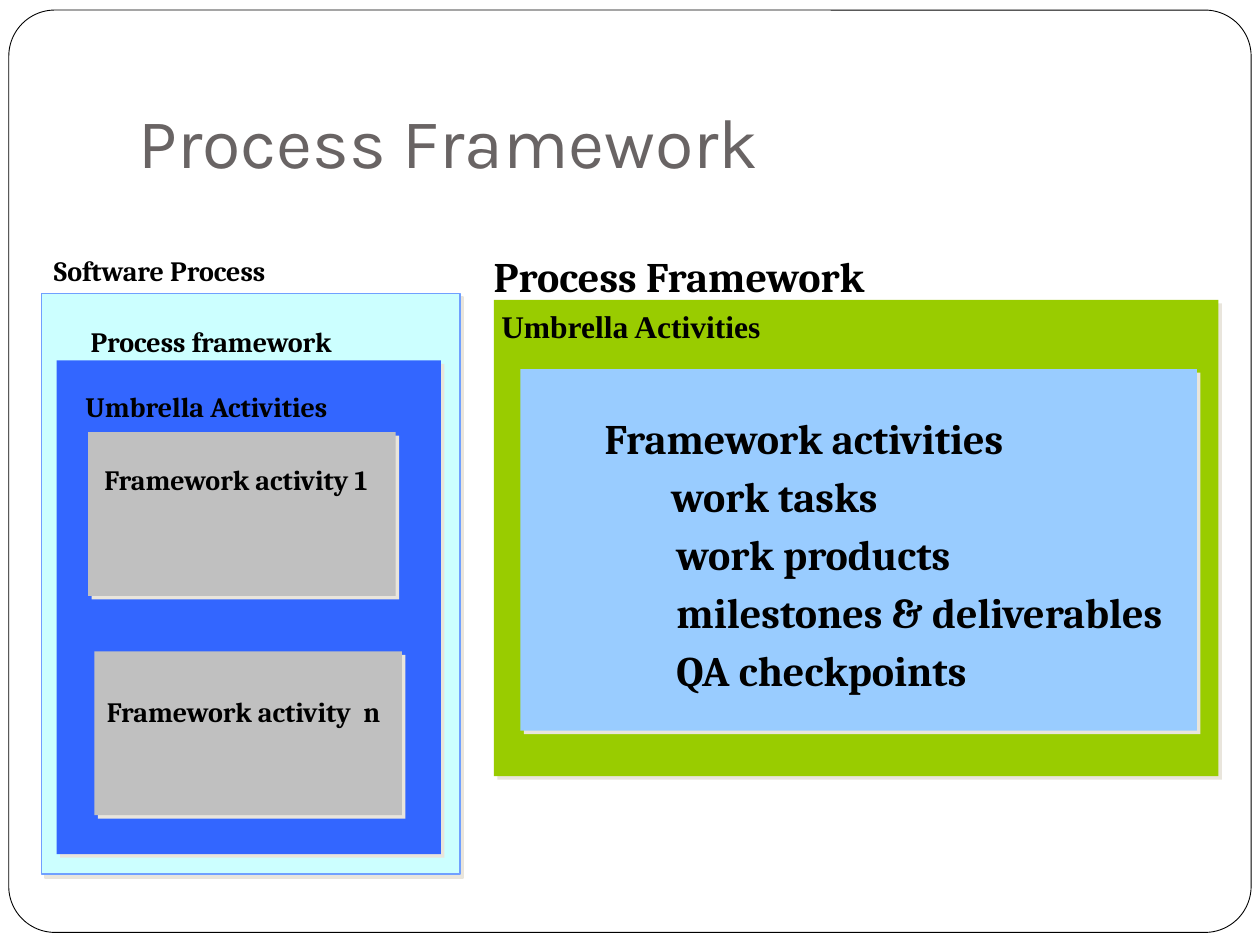
from lxml.etree import SubElement
from pptx import Presentation
from pptx.dml.color import RGBColor
from pptx.enum.shapes import MSO_SHAPE as Shape
from pptx.enum.text import MSO_ANCHOR as Anchor, PP_ALIGN as Align
from pptx.oxml.ns import qn
from pptx.util import Inches, Pt

TITLE = "Process Framework"
PANELS = [
    ((0.33, 2.33, 3.32, 4.61), "CCFFFF", "70A0FF"),
    ((0.45, 2.86, 3.05, 3.92), "3366FF", None),
    ((0.70, 3.43, 2.44, 1.30), "C0C0C0", None),
    ((0.75, 5.17, 2.44, 1.30), "C0C0C0", None),
    ((3.92, 2.38, 5.75, 3.78), "99CC00", None),
]
LABELS = [
    ("Software Process", 0.33, 1.92),
    ("Process framework", 0.62, 2.49),
    ("Umbrella Activities", 0.58, 3.00),
    ("Framework activity 1", 0.73, 3.58),
    ("Framework activity  n", 0.75, 5.42),
]
HEADINGS = [
    ("Process Framework", 0.07, 24, "Cambria"),
    ("Umbrella Activities", 0.13, 18, "Times New Roman"),
]
ACTIVITIES = [
    ("Framework activities", 0.57),
    ("work tasks", 1.10),
    ("work products", 1.14),
    ("milestones & deliverables", 1.14),
    ("QA checkpoints", 1.14),
]


def color(value):
    return RGBColor.from_string(value)


def add_panel(slide, box, fill, line=None, shadow=True, kind=Shape.RECTANGLE):
    panel = slide.shapes.add_shape(kind, *map(Inches, box))
    panel.shadow.inherit = False
    panel.fill.solid()
    panel.fill.fore_color.rgb = color(fill)
    if line:
        panel.line.color.rgb = color(line)
        panel.line.width = Pt(1)
    else:
        panel.line.fill.background()
    if shadow:
        effects = panel._element.spPr.find(qn("a:effectLst"))
        outer = SubElement(effects, qn("a:outerShdw"), dist=str(Pt(2.8)),
                           dir="2700000", algn="ctr", rotWithShape="0")
        SubElement(outer, qn("a:srgbClr"), val="E9E5DC")
    return panel


def write(frame, lines):
    frame.word_wrap = True
    for i, (text, indent, size, font) in enumerate(lines):
        para = frame.add_paragraph() if i else frame.paragraphs[0]
        para.text = text
        para.alignment = Align.LEFT
        para.line_spacing = 1.15
        para.font.name, para.font.size, para.font.bold = font, Pt(size), True
        para.font.color.rgb = color("000000")
        para._p.get_or_add_pPr().set("marL", str(Inches(indent)))


def add_text(slide, box, lines):
    write(slide.shapes.add_textbox(*map(Inches, box)).text_frame, lines)


def main():
    """Build the process framework slide."""
    prs = Presentation()
    prs.slide_width, prs.slide_height = Inches(10), Inches(7.5)
    slide = prs.slides.add_slide(prs.slide_layouts[5])

    border = add_panel(slide, (0.07, 0.08, 9.86, 7.32), "FFFFFF", "000000",
                       shadow=False, kind=Shape.ROUNDED_RECTANGLE)
    border.adjustments[0] = 0.05
    border.line.width = Pt(0.5)
    slide.shapes._spTree.insert(2, border._element)

    title = slide.shapes.title
    title.left, title.top, title.width, title.height = map(
        Inches, (1, 0.3, 8.5, 1.25))
    frame = title.text_frame
    frame.text = TITLE
    frame.vertical_anchor = Anchor.BOTTOM
    frame.margin_bottom = Inches(0.1)
    heading = frame.paragraphs[0]
    heading.alignment = Align.LEFT
    heading.font.name, heading.font.size = "Karla", Pt(40)
    heading.font.color.rgb = color("696464")

    for box, fill, line in PANELS:
        add_panel(slide, box, fill, line)
    for text, left, top in LABELS:
        add_text(slide, (left, top, 2.65, 0.4), [(text, 0, 16, "Cambria")])
    add_text(slide, (3.75, 1.88, 5.92, 0.9), HEADINGS)

    activities = add_panel(slide, (4.13, 2.93, 5.37, 2.87), "99CCFF")
    activities.text_frame.vertical_anchor = Anchor.MIDDLE
    write(activities.text_frame,
          [(text, indent, 24, "Cambria") for text, indent in ACTIVITIES])

    prs.save("out.pptx")


if __name__ == "__main__":
    main()
